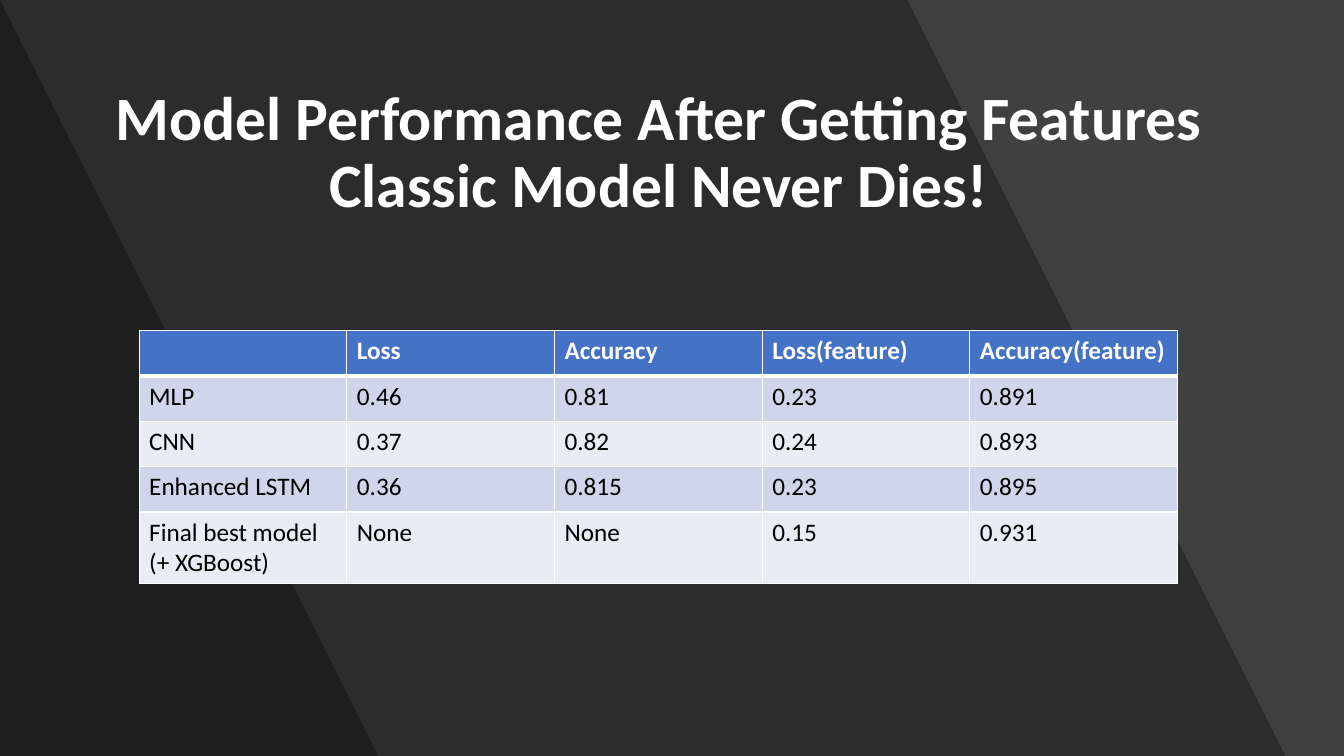
"""Build the model performance slide with its comparison table."""
from lxml.etree import SubElement
from pptx import Presentation
from pptx.dml.color import RGBColor
from pptx.enum.text import MSO_ANCHOR, MSO_AUTO_SIZE, PP_ALIGN
from pptx.oxml.ns import qn
from pptx.util import Inches, Pt

HEADER = ["", "Loss", "Accuracy", "Loss(feature)", "Accuracy(feature)"]
RESULTS = [
    ["MLP", "0.46", "0.81", "0.23", "0.891"],
    ["CNN", "0.37", "0.82", "0.24", "0.893"],
    ["Enhanced LSTM", "0.36", "0.815", "0.23", "0.895"],
    ["Final best model\n(+ XGBoost)", "None", "None", "0.15", "0.931"],
]


def paint(target, color):
    """Give a fill a solid colour from a hex string."""
    target.solid()
    target.fore_color.rgb = RGBColor.from_string(color)


def write(frame, text, size=18, color="000000", bold=False, font="Calibri",
          align=PP_ALIGN.LEFT, spacing=None):
    """Write text, with \\n between paragraphs and \\v between lines."""
    for index, content in enumerate(text.split("\n")):
        para = frame.add_paragraph() if index else frame.paragraphs[0]
        para.alignment = align
        para.line_spacing = spacing
        for number, line in enumerate(content.split("\v")):
            if number:
                para.add_line_break()
            span = para.add_run()
            span.text = line
            span.font.name, span.font.size, span.font.bold = font, Pt(size), bold
            paint(span.font.fill, color)


def outline(cell, top=1, bottom=1, color="FFFFFF"):
    """Draw the four borders of a table cell."""
    properties = cell._tc.get_or_add_tcPr()
    for side, width in zip("LRTB", (1, 1, top, bottom)):
        line = SubElement(properties, qn(f"a:ln{side}"), w=str(Pt(width)))
        fill = SubElement(line, qn("a:solidFill"))
        SubElement(fill, qn("a:srgbClr"), val=color)


class SlideBuilder:
    """Hold the colours and the current slide."""

    header_fill = "4472C4"
    band_fills = ("CFD5EA", "E9EBF5")
    light = "FFFFFF"

    def __init__(self, deck, background):
        """Add a title-only page with a plain background."""
        self.page = deck.slides.add_slide(deck.slide_layouts[5])
        paint(self.page.background.fill, background)

    def slanted_panel(self, top_width, bottom_width, color="000000", opacity=30):
        """Draw a translucent full-height panel with a slanted right edge."""
        builder = self.page.shapes.build_freeform(0, 0, scale=Inches(1))
        builder.add_line_segments(
            [(top_width, 0), (bottom_width, 7.5), (0, 7.5)], close=True)
        panel = builder.convert_to_shape()
        panel.shadow.inherit = False
        panel.line.fill.background()
        paint(panel.fill, color)
        shade = panel.element.spPr.find(qn("a:solidFill"))[0]
        SubElement(shade, qn("a:alpha"), val=str(opacity * 1000))

    def title(self, text, left, top, width, height):
        """Place and format the title above the panels."""
        box = self.page.shapes.title
        box.left, box.top = Inches(left), Inches(top)
        box.width, box.height = Inches(width), Inches(height)
        frame = box.text_frame
        frame.word_wrap = True
        frame.auto_size = MSO_AUTO_SIZE.NONE
        frame.vertical_anchor = MSO_ANCHOR.MIDDLE
        write(frame, text, size=44, color=self.light, bold=True,
              align=PP_ALIGN.CENTER, spacing=0.9)
        box.element.getparent().append(box.element)

    def table(self, rows, left, top, column_width, row_heights):
        """Add a table with a header row and banded body rows."""
        table = self.page.shapes.add_table(
            len(rows), len(rows[0]), Inches(left), Inches(top),
            Inches(column_width * len(rows[0])), Inches(sum(row_heights))).table
        for column in table.columns:
            column.width = Inches(column_width)
        for index, (values, height) in enumerate(zip(rows, row_heights)):
            table.rows[index].height = Inches(height)
            is_header = index == 0
            fill = self.header_fill if is_header else self.band_fills[(index - 1) % 2]
            for cell, value in zip(table.rows[index].cells, values):
                outline(cell, top=3 if index == 1 else 1, bottom=3 if is_header else 1)
                paint(cell.fill, fill)
                write(cell.text_frame, value, bold=is_header,
                      color=self.light if is_header else "000000")


def main():
    """Build and save the deck."""
    deck = Presentation()
    deck.slide_width, deck.slide_height = Inches(13.33), Inches(7.5)
    slide = SlideBuilder(deck, "404040")
    slide.slanted_panel(9.42, 12.89)
    slide.slanted_panel(0.44, 3.92)
    slide.title("Model Performance After Getting Features\vClassic Model Never Dies!",
                0.78, 0.54, 11.51, 1.98)
    slide.table([HEADER] + RESULTS, 1.38, 3.28, 2.06, [0.45] * 4 + [0.7])
    deck.save("out.pptx")


if __name__ == "__main__":
    main()
